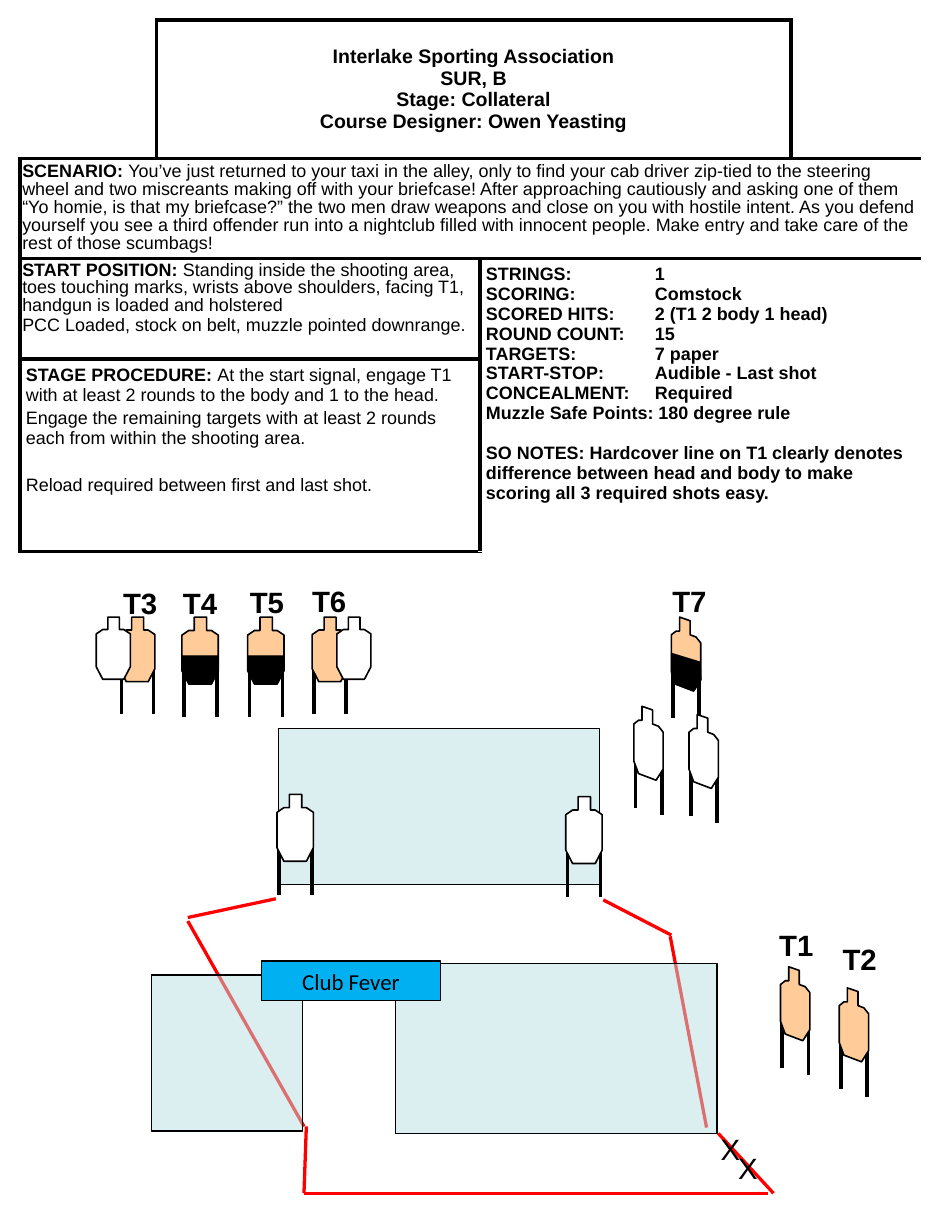
import pptx
import pptx.dml.color
import pptx.enum.shapes
import pptx.enum.text
import pptx.oxml
import pptx.oxml.ns
import pptx.util

Inches, Pt = pptx.util.Inches, pptx.util.Pt
ALIGN, ANCHOR = pptx.enum.text.PP_ALIGN, pptx.enum.text.MSO_ANCHOR
COLORS = {"ink": "000000", "paper": "FFFFFF", "room": "BBE0E3", "sign": "00B0F0",
          "boundary": "FF0000", "card": "FFCC99"}

COLS = [1.16, 2.76, 2.65, 1.1]
ROWS = [1.18, 0.85, 0.86, 1.64]
FACTS = [("STRINGS:", "1"), ("SCORING:", "Comstock"),
         ("SCORED HITS:", "2 (T1 2 body 1 head)"), ("ROUND COUNT:", "15"),
         ("TARGETS:", "7 paper"), ("START-STOP:", "Audible - Last shot"),
         ("CONCEALMENT:", "Required")]
# Each paragraph: (space before in points, [(text, bold), ...])
HEADER = [(0, [("Interlake Sporting Association\nSUR, B\nStage: Collateral\n"
                "Course Designer: Owen Yeasting", True)])]
SCENARIO = [(0, [("SCENARIO: ", True), (
    "You’ve just returned to your taxi in the alley, only to find your cab driver zip-tied to "
    "the steering wheel and two miscreants making off with your briefcase! After approaching "
    "cautiously and asking one of them “Yo homie, is that my briefcase?” the two men draw "
    "weapons and close on you with hostile intent. As you defend yourself you see a third "
    "offender run into a nightclub filled with innocent people. Make entry and take care of "
    "the rest of those scumbags!", False)])]
START = [
    (0, [("START POSITION: ", True),
         ("Standing inside the shooting area, toes touching marks, wrists above shoulders, "
          "facing T1, handgun is loaded and holstered", False)]),
    (1.1, [("PCC Loaded, stock on belt, muzzle pointed downrange.", False)])]
PROCEDURE = [
    (0, [("STAGE PROCEDURE: ", True),
         ("At the start signal, engage T1 with at least 2 rounds to the body and 1 to the "
          "head.", False)]),
    (2.2, [("Engage the remaining targets with at least 2 rounds each from within the "
            "shooting area.", False)]),
    (16.6, [("Reload required between first and last shot.", False)])]
SCORING = [(0, [(f"{name}\t{value}", True)]) for name, value in FACTS] + [
    (0, [("Muzzle Safe Points: 180 degree rule", True)]),
    (12.3, [("SO NOTES: Hardcover line on T1 clearly denotes difference between head and body "
             "to make scoring all 3 required shots easy.", True)])]
# Blocks: first row, first column, last row, last column, borders, format, paragraphs
BLOCKS = [
    (0, 0, 0, 0, "RB", {}, []),
    (0, 1, 0, 2, "LRTB", {"size": 12, "align": ALIGN.CENTER, "anchor": ANCHOR.MIDDLE}, HEADER),
    (0, 3, 0, 3, "LB", {}, []),
    (1, 0, 1, 3, "LRTB", {"inset": (0.02, 0.04), "spacing": 0.9}, SCENARIO),
    (2, 0, 2, 1, "LRTB", {"inset": (0.02, 0.03), "spacing": 0.9}, START),
    (2, 2, 3, 3, "LRTB", {"tab": 1.44}, SCORING),
    (3, 0, 3, 1, "LRTB", {}, PROCEDURE)]

BOUNDARY = [(2.59, 9.6, 1.6, 7.85), (5.71, 7.98, 6.02, 9.61), (2.59, 10.17, 2.61, 9.6),
            (6.54, 10.17, 2.59, 10.17), (6.59, 10.17, 6.12, 9.66), (2.35, 7.66, 1.6, 7.82),
            (5.72, 7.97, 5.14, 7.67)]
BACK_ROOM = (2.37, 6.21, 2.74, 1.33)
FRONT_ROOMS = [(1.29, 8.31, 1.29, 1.33), (3.37, 8.21, 2.74, 1.45)]
LABELS = [("T1", 6.54, 7.85), ("T2", 7.08, 7.97), ("T3", 0.95, 4.94), ("T4", 1.46, 4.94),
          ("T5", 2.03, 4.93), ("T6", 2.56, 4.92), ("T7", 5.63, 4.92)]
MARKS = [("X", 6.19, 9.75), ("X", 6.04, 9.59)]

# Outlines as fractions of a target's width and height; legs are (x, top, bottom)
FACING = {
    "body": [(0.34, 0), (0.68, 0), (0.68, 0.2), (0.81, 0.2), (1, 0.27), (1, 0.8), (0.81, 1),
             (0.19, 1), (0, 0.8), (0, 0.27), (0.19, 0.2), (0.34, 0.2)],
    "cover": [(0, 0.58), (1, 0.58), (1, 0.8), (0.81, 1), (0.19, 1), (0, 0.8)],
    "legs": [(0.05, 0.74, 1.5), (0.96, 0.74, 1.5)]}
ANGLED = {
    "body": [(0.64, 0.05), (0.28, 0), (0.28, 0.19), (0.16, 0.19), (0, 0.24), (0, 0.74),
             (0.16, 0.91), (0.76, 1), (1, 0.85), (1, 0.35), (0.84, 0.27), (0.64, 0.24)],
    "cover": [(0, 0.49), (0.98, 0.61), (1, 0.85), (0.76, 1), (0.16, 0.91), (0, 0.74)],
    "legs": [(0.06, 0.7, 1.37), (0.95, 0.8, 1.47)]}
FULL, SMALL, WING, SLIM = (0.31, 0.57), (0.3, 0.55), (0.29, 0.53), (0.25, 0.63)
# Targets: pose, left, top, size, fill, parts
TARGETS = [
    (ANGLED, 6.65, 8.24, SLIM, "card", "legs body"),
    (ANGLED, 7.15, 8.42, SLIM, "card", "legs body"),
    (FACING, 1.55, 5.26, FULL, "card", "legs body cover"),
    (FACING, 2.11, 5.26, FULL, "card", "legs body cover"),
    (FACING, 2.66, 5.26, SMALL, "card", "legs body"),
    (FACING, 2.87, 5.26, WING, "paper", "body"),
    (FACING, 1.02, 5.26, SMALL, "card", "legs body"),
    (FACING, 0.82, 5.26, WING, "paper", "body"),
    (ANGLED, 5.72, 5.26, SLIM, "card", "legs body cover"),
    (FACING, 4.82, 6.79, FULL, "paper", "legs body"),
    (ANGLED, 5.4, 6.02, SLIM, "paper", "legs body"),
    (ANGLED, 5.87, 6.09, SLIM, "paper", "legs body"),
    (FACING, 2.36, 6.77, FULL, "paper", "legs body")]


def rgb(name):
    return pptx.dml.color.RGBColor.from_string(COLORS[name])


def add_xml(parent, xml, index=None):
    el = pptx.oxml.parse_xml(xml.replace(">", " " + pptx.oxml.ns.nsdecls("a") + ">", 1))
    parent.insert(len(parent) if index is None else index, el)


def set_font(font, size, bold=False, name="Arial"):
    for key, value in {"size": Pt(size), "bold": bold, "name": name}.items():
        setattr(font, key, value)
    font.color.rgb = rgb("ink")


def paint(sp, fill, width):
    sp.shadow.inherit = False
    sp.fill.solid()
    sp.fill.fore_color.rgb = rgb(fill)
    sp.line.color.rgb = rgb("ink")
    sp.line.width = Pt(width)


def add_line(s, x1, y1, x2, y2, color, width):
    c = s.shapes.add_connector(pptx.enum.shapes.MSO_CONNECTOR.STRAIGHT,
                               *map(Inches, (x1, y1, x2, y2)))
    c.line.color.rgb = rgb(color)
    c.line.width = Pt(width)
    add_xml(c._element.spPr, "<a:effectLst></a:effectLst>")


def add_rect(s, box, fill, alpha=None):
    sp = s.shapes.add_shape(pptx.enum.shapes.MSO_SHAPE.RECTANGLE, *map(Inches, box))
    paint(sp, fill, 0.75)
    if alpha:
        clr = sp._element.spPr.find(".//" + pptx.oxml.ns.qn("a:srgbClr"))
        add_xml(clr, f'<a:alpha val="{alpha * 1000}"></a:alpha>')
    return sp


def add_label(s, text, x, y, width, bold):
    tf = s.shapes.add_textbox(*map(Inches, (x, y, width, 0.4))).text_frame
    tf.word_wrap = True
    tf.text = text
    set_font(tf.paragraphs[0].runs[0].font, 18, bold)


def add_target(s, pose, x, y, size, fill, parts):
    w, h = size
    if "legs" in parts:
        for fx, top, bottom in pose["legs"]:
            add_line(s, x + fx * w, y + top * h, x + fx * w, y + bottom * h, "ink", 2.25)
    for part, color, width in (("body", fill, 1), ("cover", "ink", 0)):
        if part in parts:
            pts = [(Inches(x + fx * w), Inches(y + fy * h)) for fx, fy in pose[part]]
            fb = s.shapes.build_freeform(*pts[0])
            fb.add_line_segments(pts[1:], close=True)
            paint(fb.convert_to_shape(), color, width)


def fill_cell(cell, fmt, paragraphs):
    dx, dy = fmt.get("inset", (0.05, 0.05))
    for side, value in zip(("left", "right", "top", "bottom"), (dx, dx, dy, dy)):
        setattr(cell, "margin_" + side, Inches(value))
    cell.vertical_anchor = fmt.get("anchor", ANCHOR.TOP)
    tf = cell.text_frame
    for i, (before, runs) in enumerate(paragraphs):
        p = tf.add_paragraph() if i else tf.paragraphs[0]
        if "tab" in fmt:
            add_xml(p._p.get_or_add_pPr(), f'<a:tabLst><a:tab pos="{Inches(fmt["tab"])}" '
                                           'algn="l"/></a:tabLst>')
        p.alignment = fmt.get("align", ALIGN.LEFT)
        p.line_spacing = fmt.get("spacing", 1.0)
        if before:
            p.space_before = Pt(before)
        for text, bold in runs:
            for n, line in enumerate(text.split("\n")):
                if n:
                    p.add_line_break()
                r = p.add_run()
                r.text = line
                set_font(r.font, fmt.get("size", 11), bold)


def add_briefing(s):
    frame = s.shapes.add_table(len(ROWS), len(COLS), Inches(0.17), Inches(0.17),
                               Inches(sum(COLS)), Inches(sum(ROWS)))
    table = frame.table
    table.first_row = table.horz_banding = False
    for col, width in zip(table.columns, COLS):
        col.width = Inches(width)
    for row, height in zip(table.rows, ROWS):
        row.height = Inches(height)
    for r0, c0, r1, c1, sides, fmt, paragraphs in BLOCKS:
        for r in range(r0, r1 + 1):
            for c in range(c0, c1 + 1):
                cell = table.cell(r, c)
                cell.fill.solid()
                cell.fill.fore_color.rgb = rgb("paper")
                outer = {"L": c == c0, "R": c == c1, "T": r == r0, "B": r == r1}
                edges = [side for side in "LRTB" if side in sides and outer[side]]
                for i, side in enumerate(edges):
                    add_xml(cell._tc.get_or_add_tcPr(),
                            f'<a:ln{side} w="{Pt(2.25)}"><a:solidFill><a:srgbClr '
                            f'val="{COLORS["ink"]}"/></a:solidFill></a:ln{side}>', i)
        if (r0, c0) != (r1, c1):
            table.cell(r0, c0).merge(table.cell(r1, c1))
        fill_cell(table.cell(r0, c0), fmt, paragraphs)


def main():
    prs = pptx.Presentation()
    prs.slide_width, prs.slide_height = Inches(8), Inches(10.5)
    s = prs.slides.add_slide(prs.slide_layouts[6])
    add_briefing(s)
    for ends in BOUNDARY:
        add_line(s, *ends, "boundary", 2)
    add_rect(s, BACK_ROOM, "room", 50)
    for label in LABELS:
        add_label(s, *label, 0.58, True)
    for target in TARGETS:
        add_target(s, *target)
    for box in FRONT_ROOMS:
        add_rect(s, box, "room", 50)
    tf = add_rect(s, (2.23, 8.19, 1.52, 0.34), "sign").text_frame
    tf.text = "Club Fever"
    tf.paragraphs[0].alignment = ALIGN.CENTER
    set_font(tf.paragraphs[0].runs[0].font, 14, name="Calibri")
    for mark in MARKS:
        add_label(s, *mark, 0.31, False)
    prs.save("out.pptx")


if __name__ == "__main__":
    main()
